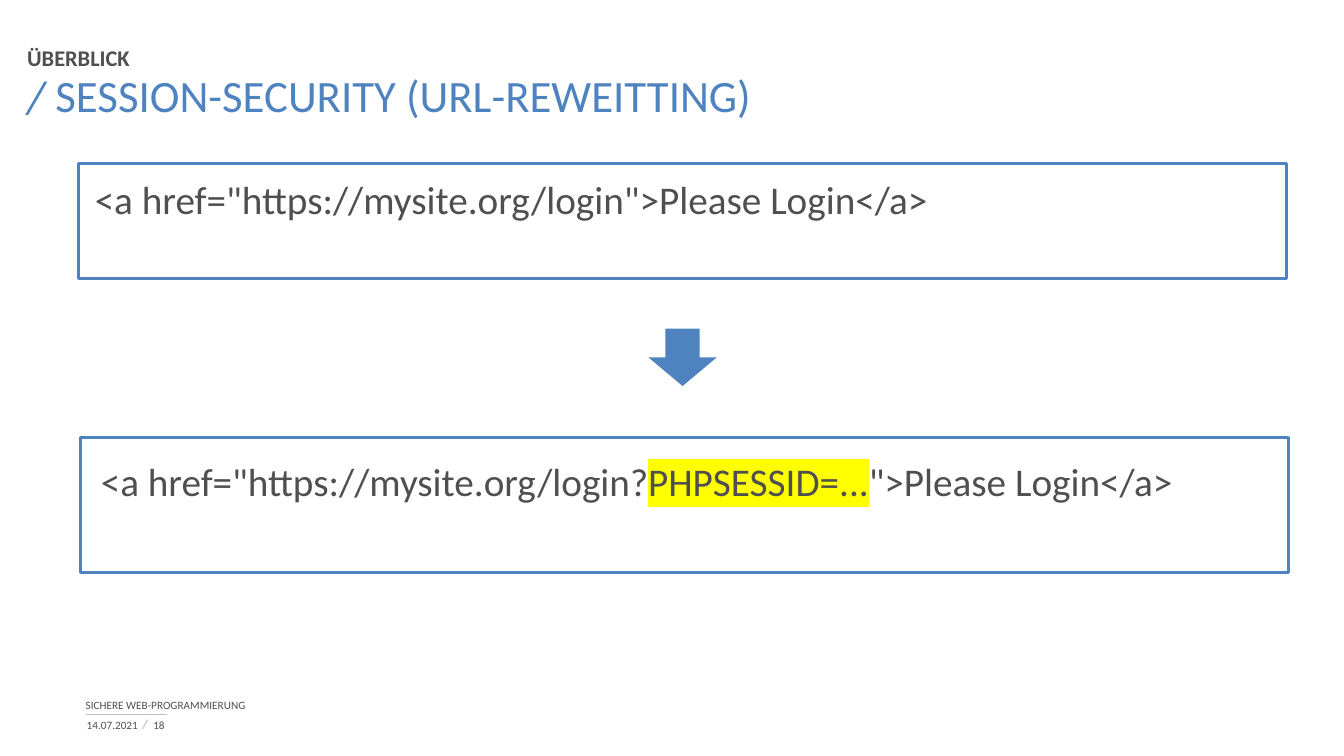
import pptx
import pptx.util
import pptx.dml.color
import pptx.enum.shapes
import pptx.enum.text
import pptx.oxml
import pptx.oxml.ns
import lxml.etree

COLORS = {"accent": "4E83BF", "text": "4F4F4F", "rule": "BFBFBF", "marker": "FFFF00"}
SHAPES = pptx.enum.shapes.MSO_SHAPE
ANCHOR = pptx.enum.text.MSO_ANCHOR
WIDTH, HEIGHT = 13.33, 7.5
inches = pptx.util.Inches


def color(name):
    return pptx.dml.color.RGBColor.from_string(COLORS[name])


def tag(name):
    return pptx.oxml.ns.qn(name)


def apply(target, formats):
    for name, value in formats.items():
        setattr(target, name, value)


def write(holder, runs, size, ink="text", bold=False, anchor=ANCHOR.TOP,
          insets=(0, 0, 0, 0), wrap=True, **paragraph_formats):
    """Fill a shape with one paragraph; each run is (text, highlight or None)."""
    frame = holder.text_frame
    left, top, right, bottom = map(inches, insets)
    apply(frame, {"word_wrap": wrap, "vertical_anchor": anchor,
                  "margin_left": left, "margin_top": top,
                  "margin_right": right, "margin_bottom": bottom})
    paragraph = frame.paragraphs[0]
    apply(paragraph, {"alignment": pptx.enum.text.PP_ALIGN.LEFT, **paragraph_formats})
    for text, highlight in runs:
        run = paragraph.add_run()
        run.text = text
        apply(run.font, {"name": "Calibri", "size": pptx.util.Pt(size), "bold": bold})
        run.font.color.rgb = color(ink)
        if highlight:
            marker = lxml.etree.Element(tag("a:highlight"))
            lxml.etree.SubElement(marker, tag("a:srgbClr"), val=COLORS[highlight])
            run.font.color.rgb = color(ink)
            run.font.fill.solid()
            run.font.color.rgb = color(ink)
            run.font._element.find(tag("a:solidFill")).addnext(marker)


def add_label(slide, box, text, size, **formats):
    label = slide.shapes.add_textbox(*map(inches, box))
    write(label, [(text, None)], size, **formats)


def add_slash(slide, box, stroke, fill):
    """Draw a slanted bar whose horizontal thickness is stroke."""
    left, top, width, height = box
    right, bottom = left + width, top + height
    builder = slide.shapes.build_freeform(inches(left), inches(bottom))
    corners = [(right - stroke, top), (right, top), (left + stroke, bottom)]
    builder.add_line_segments([(inches(x), inches(y)) for x, y in corners])
    slash = builder.convert_to_shape()
    slash.shadow.inherit = False
    slash.fill.solid()
    slash.fill.fore_color.rgb = color(fill)
    slash.line.fill.background()


def add_heading(slide, box):
    left, top, width, height = box
    add_label(slide, (left + 0.02, top, 10.74, 0.28), "ÜBERBLICK", 16,
              bold=True, anchor=ANCHOR.BOTTOM)
    add_slash(slide, (left, top + 0.39, 0.22, 0.33), 0.03, "accent")
    add_label(slide, (left + 0.3, top + 0.29, width - 0.3, height - 0.29),
              "SESSION-SECURITY (URL-REWEITTING)", 32, ink="accent",
              line_spacing=pptx.util.Pt(36))


def add_code_box(slide, box, runs, insets, **formats):
    code = slide.shapes.add_shape(SHAPES.RECTANGLE, *map(inches, box))
    code.shadow.inherit = False
    code.fill.background()
    code.line.color.rgb = color("accent")
    code.line.width = pptx.util.Pt(2)
    write(code, runs, 28, insets=insets, **formats)


def add_rewriting(slide, box):
    """Link before, arrow, link with the session id."""
    left, top, width, height = box
    add_code_box(slide, (left, top, width, 1.14),
                 [('<a href="https://mysite.org/login">Please Login</a>', None)],
                 (0.16, 0.12, 0.2, 0.2), space_after=pptx.util.Pt(6))
    add_code_box(slide, (left + 0.02, top + height - 1.34, width, 1.34),
                 [('<a href="https://mysite.org/login?', None),
                  ("PHPSESSID=...", "marker"),
                  ('">Please Login</a>', None)],
                 (0.2, 0.2, 0.2, 0.2))
    arrow_box = (left + (width - 0.68) / 2, top + 1.64, 0.68, 0.57)
    arrow = slide.shapes.add_shape(SHAPES.DOWN_ARROW, *map(inches, arrow_box))
    arrow.shadow.inherit = False
    arrow.fill.solid()
    arrow.fill.fore_color.rgb = color("accent")
    arrow.line.fill.background()


def add_footer(slide, box):
    left, top, width, height = box
    middle, second_row = top + 0.15, top + 0.19
    rule = slide.shapes.add_connector(
        pptx.enum.shapes.MSO_CONNECTOR.STRAIGHT,
        *map(inches, (left, middle, left + 0.81, middle)))
    rule.line.color.rgb = color("rule")
    rule.line.width = pptx.util.Pt(0.5)
    lxml.etree.SubElement(rule._element.spPr, tag("a:effectLst"))
    add_label(slide, (left, top, width, 0.12), "SICHERE WEB-PROGRAMMIERUNG", 8,
              anchor=ANCHOR.BOTTOM)
    add_label(slide, (left + 0.01, second_row, 0.52, 0.12), "14.07.2021", 8,
              anchor=ANCHOR.MIDDLE, wrap=False)
    add_slash(slide, (left + 0.56, top + 0.2, 0.06, 0.09), 0.01, "rule")
    add_label(slide, (left + 0.67, second_row, 0.22, 0.12), "18", 8,
              anchor=ANCHOR.MIDDLE)


def main():
    deck = pptx.Presentation()
    apply(deck, {"slide_width": inches(WIDTH), "slide_height": inches(HEIGHT)})
    slide = deck.slides.add_slide(deck.slide_layouts[6])
    add_heading(slide, (0.25, 0.42, 13.1 - 0.3, 1.24))
    add_rewriting(slide, (0.78, 1.62, 11.98, 4.06))
    add_footer(slide, (0.85, 6.94, 7.8, 0.31))
    deck.save("out.pptx")


if __name__ == "__main__":
    main()
